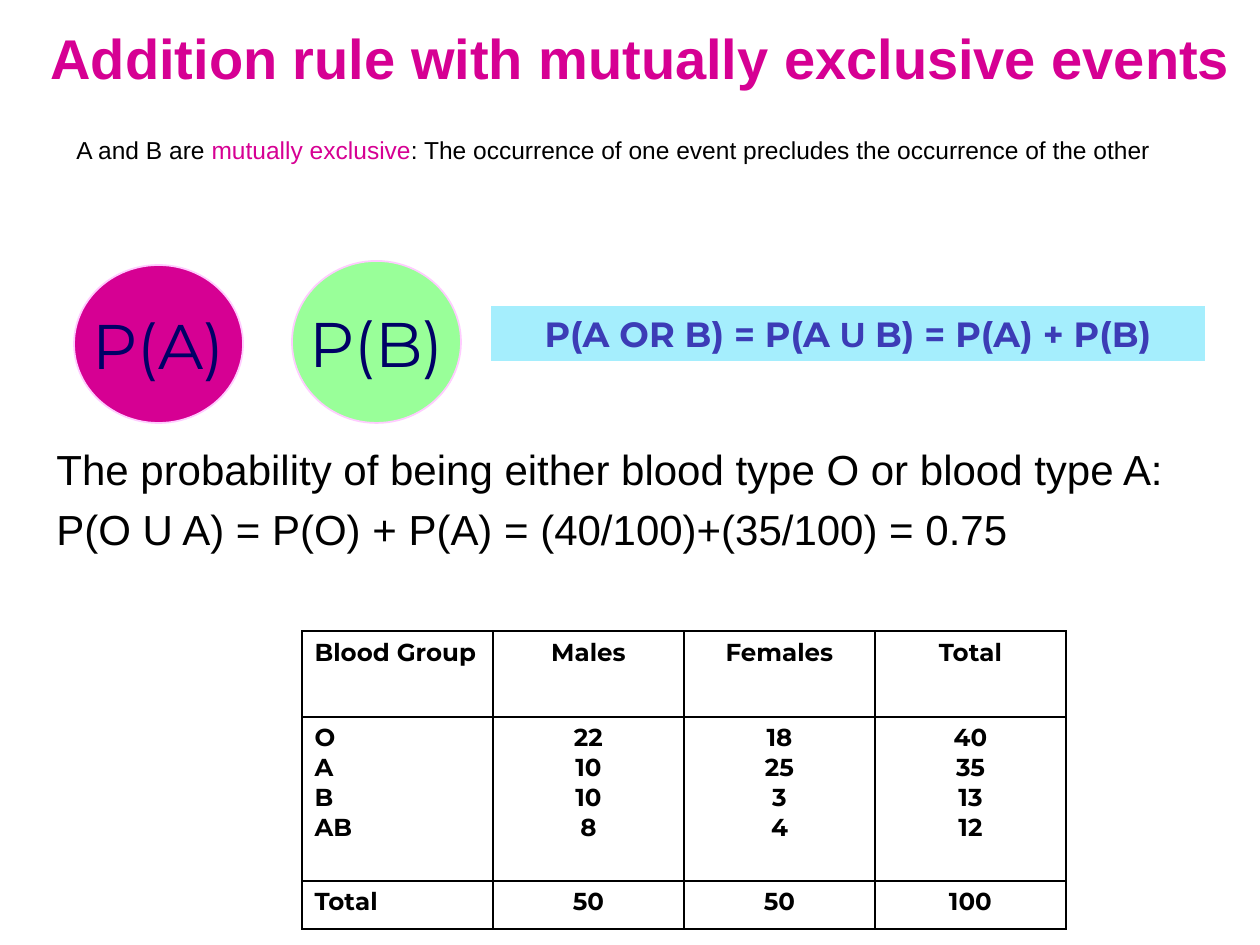
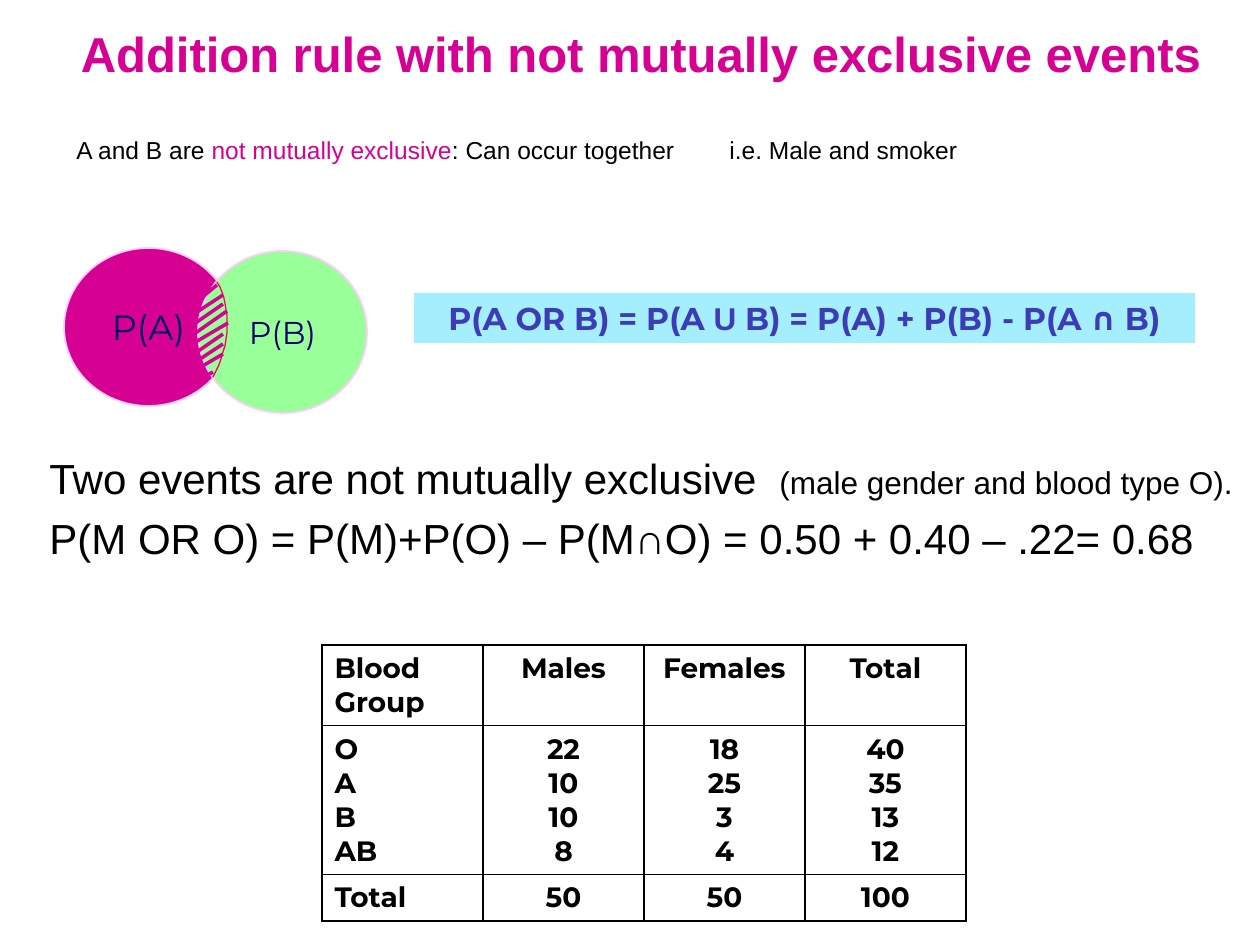
from pptx import Presentation
from pptx.dml.color import RGBColor
from pptx.enum.shapes import MSO_CONNECTOR, MSO_SHAPE
from pptx.enum.text import MSO_ANCHOR, MSO_AUTO_SIZE, PP_ALIGN
from pptx.oxml import parse_xml
from pptx.oxml.ns import nsdecls, qn
from pptx.util import Emu, Pt

# Shared look
PX = 914400 / 126
SANS, GEO = "Arial", "Montserrat"
MAGENTA = RGBColor(0xD6, 0x00, 0x93)
GREEN = RGBColor(0x99, 0xFF, 0x99)
PINK = RGBColor(0xFF, 0xCC, 0xFF)
CYAN = RGBColor(0xA5, 0xEE, 0xFD)
INDIGO = RGBColor(0x3C, 0x3C, 0xB6)
NAVY = RGBColor(0x00, 0x00, 0x66)
RED = RGBColor(0xFF, 0x00, 0x66)
BLACK = RGBColor(0, 0, 0)

TITLE_BOX = (28, 13, 1226, 116)
INTRO_BOX = (64, 123, 1196, 115)

# Content
BLOOD_GROUPS = [
    ["Blood Group", "Males", "Females", "Total"],
    ["O\nA\nB\nAB", "22\n10\n10\n8", "18\n25\n3\n4", "40\n35\n13\n12"],
    ["Total", "50", "50", "100"],
]

SLIDES = [
    dict(
        title=("Addition rule with mutually exclusive events", 32),
        intro=("mutually exclusive",
               ": The occurrence of one event precludes the occurrence of the other"),
        events=[("P(A)", (74, 265, 169, 158), MAGENTA, 36),
                ("P(B)", (292, 261, 169, 162), GREEN, 36)],
        formula=("B) = P(A) + P(B)", (491, 306, 714, 55), 20),
        body_box=(44, 433, 1230, 149),
        body=[[("The probability of being either blood type O or blood type A:", 24)],
              [("P(O U A) = P(O) + P(A) = (40/100)+(35/100) = 0.75", 24)]],
        table=dict(at=(302, 631), col=191, rows=(86, 164, 48), size=14),
    ),
    dict(
        title=("Addition rule with not mutually exclusive events", 28),
        intro=("not mutually exclusive", ": Can occur together\ti.e. Male and smoker"),
        intro_tab=653,
        events=[("P(A)", (64, 248, 169, 158), MAGENTA, 20),
                ("P(B)", (198, 251, 169, 162), GREEN, 18)],
        formula=("B) = P(A) + P(B) - P(A ∩ B)", (414, 293, 781, 50), 18),
        body_box=(37, 442, 1222, 338),
        body_tab=730,
        body=[[("Two events are not mutually exclusive\t", 24),
               ("(male gender and blood type O).", 18)],
              [("P(M OR O) = P(M)+P(O) – P(M∩O) = 0.50 + 0.40 – .22= 0.68", 24)]],
        table=dict(at=(322, 645), col=161, rows=(80, 147, 46), size=16),
        edge=[(217, 282), (232, 308), (231, 345), (213, 377)],
        hatch=[(194, 304, 217, 285), (194, 314, 223, 295), (194, 324, 223, 304),
               (194, 334, 227, 311), (194, 343, 228, 323), (194, 354, 223, 334),
               (194, 363, 223, 344), (184, 377, 223, 354), (174, 393, 213, 372)],
    ),
]


def px(*values):
    return [Emu(round(v * PX)) for v in values]


def add_run(p, text, size, color=BLACK, name=SANS, bold=False):
    r = p.add_run()
    r.text = text
    for key, value in dict(size=Pt(size), name=name, bold=bold).items():
        setattr(r.font, key, value)
    r.font.color.rgb = color


def set_frame(tf, **extra):
    values = dict(word_wrap=True, auto_size=MSO_AUTO_SIZE.NONE,
                  vertical_anchor=MSO_ANCHOR.TOP)
    for key, value in {**values, **extra}.items():
        setattr(tf, key, value)
    return tf


def drop(distance):
    """Top inset that lowers the first line by a few px."""
    return Emu(45720 + px(distance)[0])


def add_tab(p, position):
    if position:
        p._p.get_or_add_pPr().append(parse_xml(
            f'<a:tabLst {nsdecls("a")}><a:tab pos="{px(position)[0]}" algn="l"/></a:tabLst>'))


def add_title(s, text, size):
    sp = s.shapes.title
    sp.left, sp.top, sp.width, sp.height = px(*TITLE_BOX)
    p = set_frame(sp.text_frame, margin_top=drop(4)).paragraphs[0]
    p.alignment = PP_ALIGN.CENTER
    add_run(p, text, size, MAGENTA, bold=True)


def add_intro(s, key_words, meaning, tab):
    tf = s.shapes.add_textbox(*px(*INTRO_BOX)).text_frame
    p = set_frame(tf, margin_top=drop(6)).paragraphs[0]
    add_tab(p, tab)
    for text, color in (("A and B are ", BLACK), (key_words, MAGENTA), (meaning, BLACK)):
        add_run(p, text, 14, color)


def add_filled(s, kind, box, fill, wrap):
    """A filled shape with centred text; returns it with its paragraph."""
    sp = s.shapes.add_shape(kind, *px(*box))
    sp.shadow.inherit = False
    sp.fill.solid()
    sp.fill.fore_color.rgb = fill
    tf = set_frame(sp.text_frame, word_wrap=wrap, vertical_anchor=MSO_ANCHOR.MIDDLE)
    tf.paragraphs[0].alignment = PP_ALIGN.CENTER
    return sp, tf.paragraphs[0]


def add_event(s, label, box, fill, size):
    sp, p = add_filled(s, MSO_SHAPE.OVAL, box, fill, False)
    sp.line.color.rgb = PINK
    sp.line.width = Pt(1)
    add_run(p, label, size, NAVY, GEO)


def add_formula(s, ending, box, size):
    sp, p = add_filled(s, MSO_SHAPE.RECTANGLE, box, CYAN, True)
    sp.line.fill.background()
    for text, name in (("P(A OR B) = P(A ", GEO), ("U ", SANS), (ending, GEO)):
        add_run(p, text, size, INDIGO, name, True)


def add_body(s, box, lines, tab):
    tf = set_frame(s.shapes.add_textbox(*px(*box)).text_frame, margin_top=drop(4))
    for i, line in enumerate(lines):
        p = tf.add_paragraph() if i else tf.paragraphs[0]
        if i:
            p.space_before = Pt(5.5)
        else:
            add_tab(p, tab)
        for text, size in line:
            add_run(p, text, size)


def add_borders(cell):
    tcPr = cell._tc.get_or_add_tcPr()
    for i, side in enumerate("LRTB"):
        tcPr.insert(i, parse_xml(
            f'<a:ln{side} {nsdecls("a")} w="12700"><a:solidFill>'
            f'<a:srgbClr val="{BLACK}"/></a:solidFill></a:ln{side}>'))


def add_blood_table(s, at, col, rows, size):
    n = len(BLOOD_GROUPS[0])
    tbl = s.shapes.add_table(len(rows), n, *px(*at, col * n, sum(rows))).table
    tbl.first_row = tbl.horz_banding = False
    for column in tbl.columns:
        column.width = px(col)[0]
    for i, (height, values) in enumerate(zip(rows, BLOOD_GROUPS)):
        tbl.rows[i].height = px(height)[0]
        for j, value in enumerate(values):
            cell = tbl.cell(i, j)
            cell.fill.background()
            add_borders(cell)
            for k, text in enumerate(value.split("\n")):
                tf = cell.text_frame
                p = tf.add_paragraph() if k else tf.paragraphs[0]
                p.alignment = PP_ALIGN.CENTER if j else PP_ALIGN.LEFT
                add_run(p, text, size, name=GEO, bold=True)


def curve(points, steps=16):
    """Points along a cubic Bézier curve."""
    for i in range(steps + 1):
        t = i / steps
        weights = ((1 - t) ** 3, 3 * t * (1 - t) ** 2, 3 * t * t * (1 - t), t ** 3)
        yield tuple(sum(w * pt[axis] for w, pt in zip(weights, points)) for axis in (0, 1))


def add_overlap(s, edge, hatch):
    start, *rest = curve(edge)
    builder = s.shapes.build_freeform(*start, scale=PX)
    builder.add_line_segments(rest, close=False)
    sp = builder.convert_to_shape()
    sp.shadow.inherit = False
    sp.fill.background()
    sp.line.color.rgb = RED
    sp.line.width = Pt(0.75)
    for ends in hatch:
        line = s.shapes.add_connector(MSO_CONNECTOR.STRAIGHT, *px(*ends))
        line.line.color.rgb = MAGENTA
        line.line.width = Pt(2)
        line._element.find(qn("p:spPr")).append(
            parse_xml(f'<a:effectLst {nsdecls("a")}/>'))


def main():
    prs = Presentation()
    prs.slide_width, prs.slide_height = px(1260, 945)
    for d in SLIDES:
        s = prs.slides.add_slide(prs.slide_layouts[5])
        add_title(s, *d["title"])
        add_intro(s, *d["intro"], d.get("intro_tab"))
        for event in d["events"]:
            add_event(s, *event)
        add_formula(s, *d["formula"])
        add_body(s, d["body_box"], d["body"], d.get("body_tab"))
        if "edge" in d:
            add_overlap(s, d["edge"], d["hatch"])
        add_blood_table(s, **d["table"])
    prs.save("out.pptx")


if __name__ == "__main__":
    main()
